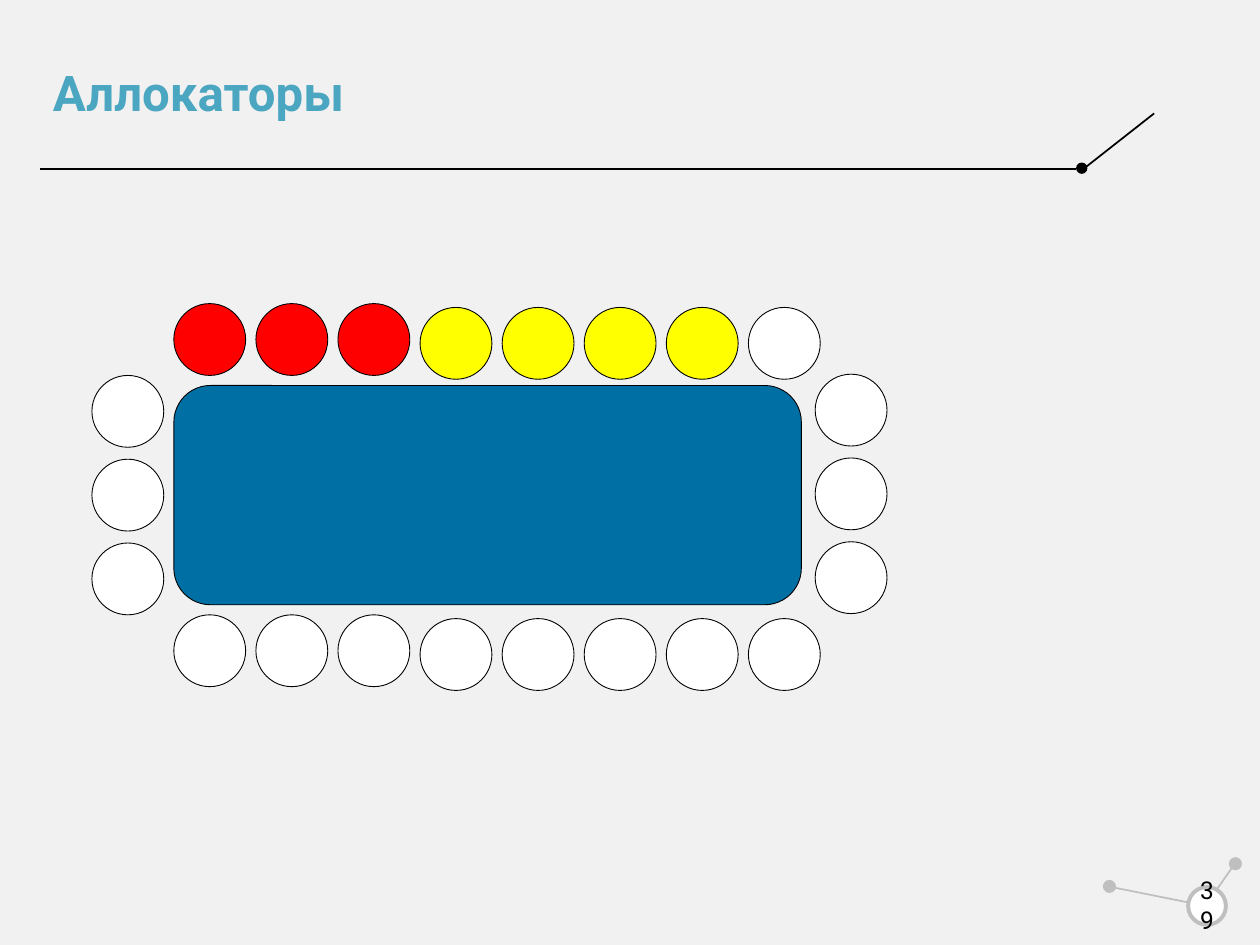
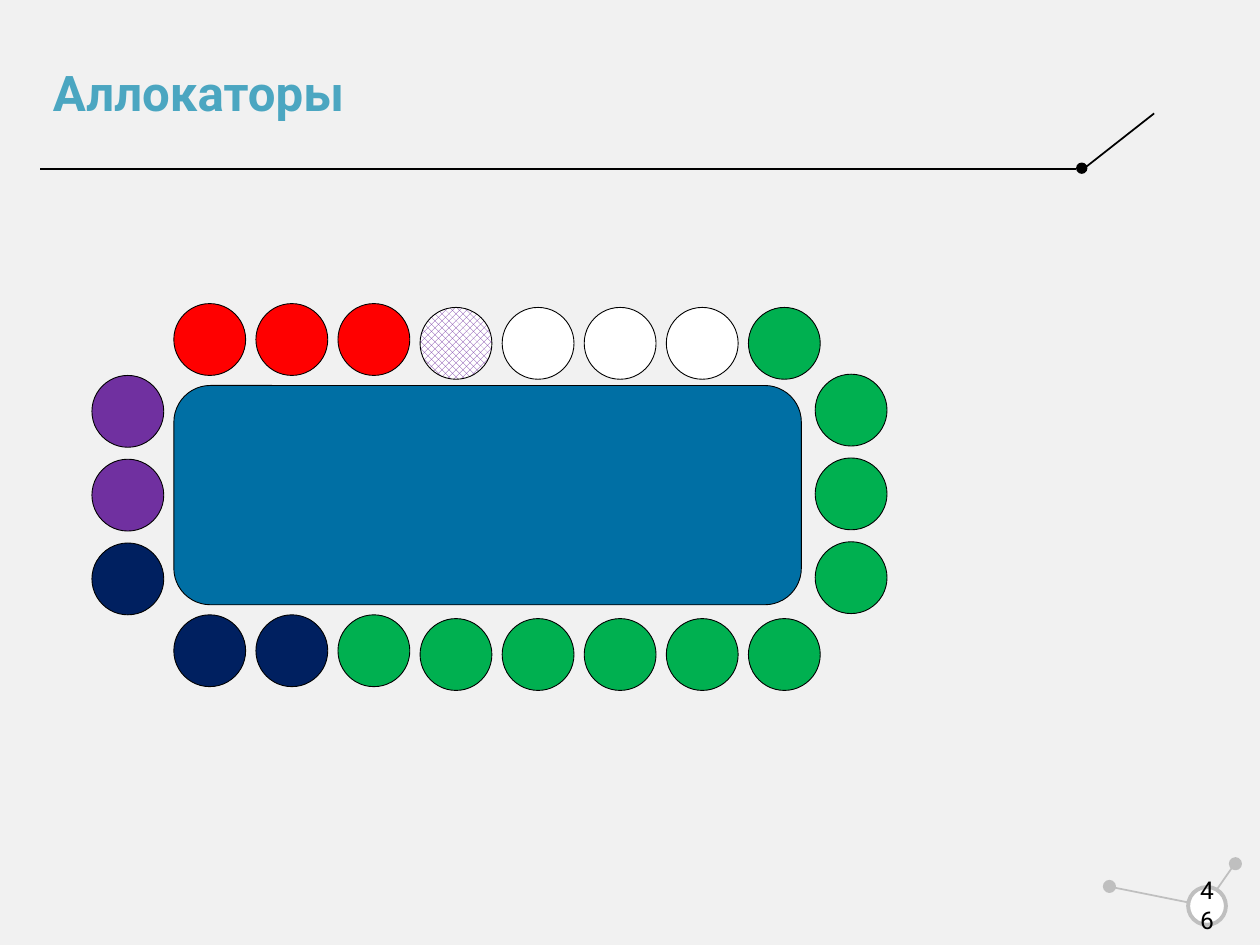
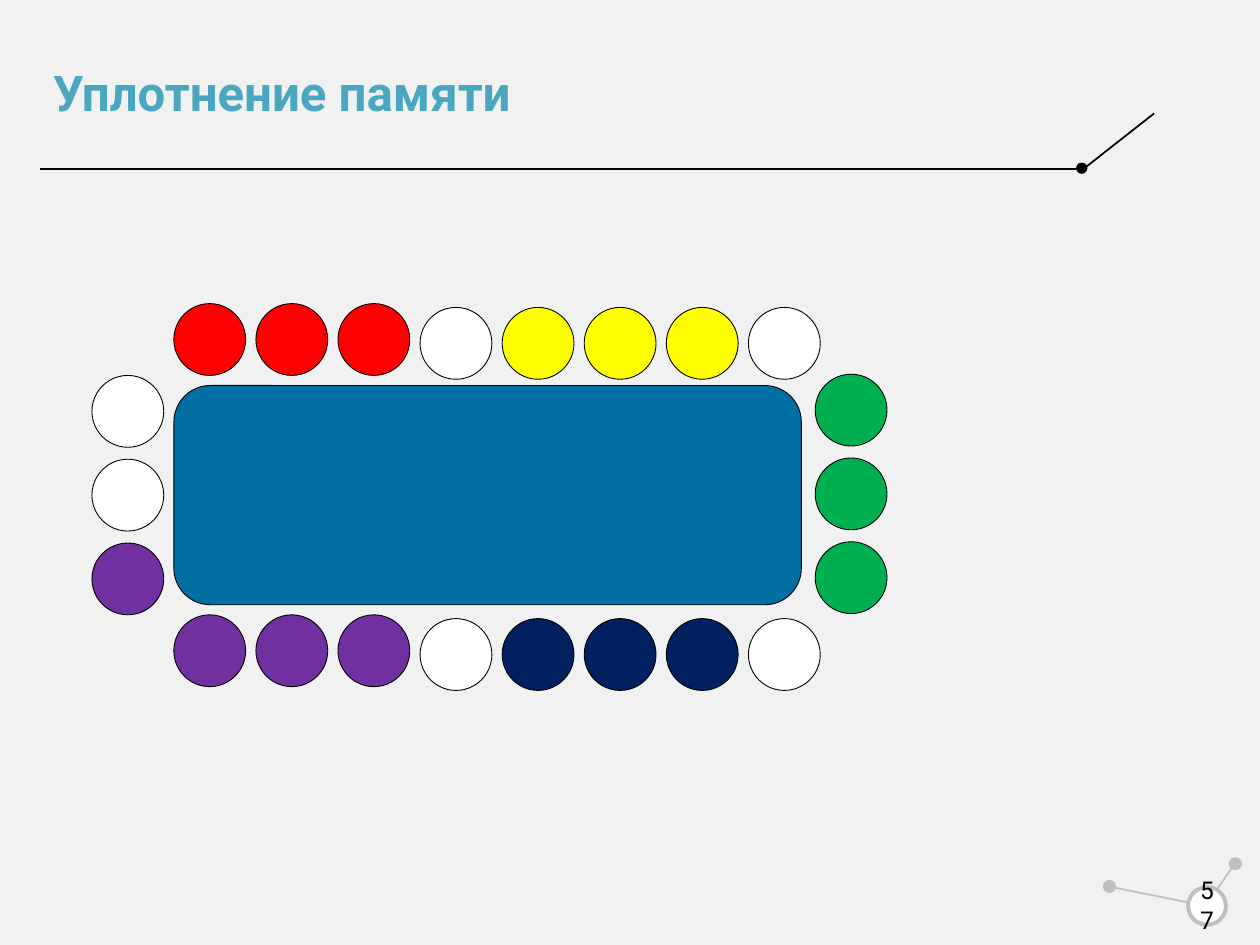
from lxml import etree
from pptx import Presentation
from pptx import util as u
from pptx.dml import color
from pptx.enum import dml, shapes, text
from pptx.oxml import ns

WIDTH, HEIGHT = 10, 7.5
FONT = "Roboto"
BLACK, WHITE, GREY = "000000", "FFFFFF", "BFBFBF"
BACKGROUND, TITLE, TABLE = "F1F1F1", "4BA6C1", "006FA4"

# Seat codes: one letter per memory owner, W for a free seat, P for a pattern
PATTERN = "P"
SEAT_COLORS = {"W": WHITE, "R": "FF0000", "Y": "FFFF00", "G": "00B050",
               "V": "7030A0", "N": "002060"}

# Seating plan around the table
SEAT = 0.57
COLUMNS, FIRST_COLUMN, LAST_COLUMN = 8, 1.38, 5.94
COLUMN_PITCH = (LAST_COLUMN - FIRST_COLUMN) / (COLUMNS - 1)
RAISED_SEATS, DROP = 3, 0.03  # the first three seats of a row sit higher
ROW_TOPS = {"top": 2.41, "bottom": 4.88}
SIDE_STARTS = {"left": (0.73, 2.98), "right": (6.47, 2.97)}
SIDE_SEATS, SIDE_SPAN = 3, 1.33
SIDE_PITCH = SIDE_SPAN / (SIDE_SEATS - 1)

SLIDES = [
    {"title": "Аллокаторы", "number": "39",
     "seats": {"top": "RRRYYYYW", "bottom": "WWWWWWWW",
               "left": "WWW", "right": "WWW"}},
    {"title": "Аллокаторы", "number": "46",
     "seats": {"top": "RRRPWWWG", "bottom": "NNGGGGGG",
               "left": "VVN", "right": "GGG"}},
    {"title": "Уплотнение памяти", "number": "57",
     "seats": {"top": "RRRWYYYW", "bottom": "VVVWNNNW",
               "left": "WWV", "right": "GGG"}},
]


def rgb(value):
    return color.RGBColor.from_string(value)


def inches(values):
    return [u.Inches(value) for value in values]


def set_values(target, values):
    for name, value in values.items():
        setattr(target, name, value)


def set_line(line, value, width):
    line.color.rgb = rgb(value)
    line.width = u.Pt(width)


def add_shape(slide, kind, box, fill, line=None, width=0.5):
    shape = slide.shapes.add_shape(kind, *inches(box))
    shape.shadow.inherit = False
    shape.fill.solid()
    shape.fill.fore_color.rgb = rgb(fill)
    if line:
        set_line(shape.line, line, width)
    else:
        shape.line.fill.background()
    return shape


def add_circle(slide, left, top, size, fill, line=None, width=0.5):
    return add_shape(slide, shapes.MSO_SHAPE.OVAL, (left, top, size, size),
                     fill, line, width)


def add_line(slide, start, end, value):
    line = slide.shapes.add_connector(
        shapes.MSO_CONNECTOR.STRAIGHT, *inches(start + end))
    set_line(line.line, value, 1)
    etree.SubElement(line.element.spPr, ns.qn("a:effectLst"))
    return line


def write(shape, content, frame_format, paragraph_format, font_format, value):
    frame = shape.text_frame
    frame.text = content
    set_values(frame, {"word_wrap": True, "auto_size": text.MSO_AUTO_SIZE.NONE,
                       "vertical_anchor": text.MSO_ANCHOR.MIDDLE,
                       **frame_format})
    paragraph = frame.paragraphs[0]
    set_values(paragraph, paragraph_format)
    font = paragraph.runs[0].font
    set_values(font, {"name": FONT, **font_format})
    font.color.rgb = rgb(value)


def add_title(slide, content):
    title = slide.shapes.title
    set_values(title, dict(zip(("left", "top", "width", "height"),
                               inches((0.32, 0.28, 8.22, 0.95)))))
    write(title, content, {},
          {"alignment": text.PP_ALIGN.LEFT, "line_spacing": 0.9},
          {"size": u.Pt(28.1), "bold": True}, TITLE)


def add_number(slide, number):
    """Add the slide number, its margins so wide that the digits stack."""
    box = slide.shapes.add_textbox(*inches((9.37, 6.98, 0.42, 0.4)))
    margin = u.Inches(0.12)
    write(box, number, {"margin_left": margin, "margin_right": margin},
          {"alignment": text.PP_ALIGN.CENTER}, {"size": u.Pt(14)}, BLACK)


def build_layout(layout, slide):
    """Draw the shared backdrop, rule and ring, and hand them to the layout."""
    for placeholder in list(layout.placeholders):
        if placeholder.placeholder_format.type != shapes.PP_PLACEHOLDER.TITLE:
            placeholder.element.getparent().remove(placeholder.element)
    decorations = [
        add_shape(slide, shapes.MSO_SHAPE.RECTANGLE, (0, 0, WIDTH, HEIGHT),
                  BACKGROUND),
        # Rule under the title
        add_line(slide, (0.32, 1.34), (8.54, 1.34), BLACK),
        add_circle(slide, 8.54, 1.29, 0.09, BLACK),
        add_line(slide, (8.6, 1.34), (9.16, 0.9), BLACK),
        # Ring for the slide number, with two branches
        add_circle(slide, 9.76, 6.81, 0.09, GREY, GREY, 1),
        add_line(slide, (9.79, 6.87), (9.65, 7.07), GREY),
        add_circle(slide, 8.76, 6.99, 0.09, GREY, GREY, 1),
        add_line(slide, (8.82, 7.04), (9.52, 7.18), GREY),
        add_circle(slide, 9.43, 7.04, 0.3, WHITE, GREY, 2.25),
    ]
    for decoration in decorations:
        layout.shapes.element.append(decoration.element)


def add_seat(slide, left, top, code):
    seat = add_circle(slide, left, top, SEAT,
                      SEAT_COLORS.get(code, WHITE), BLACK)
    if code == PATTERN:
        seat.fill.patterned()
        seat.fill.pattern = dml.MSO_PATTERN.SOLID_DIAMOND
        seat.fill.fore_color.rgb = rgb(SEAT_COLORS["V"])
        seat.fill.back_color.rgb = rgb(WHITE)


def add_table_with_seats(slide, seats):
    add_shape(slide, shapes.MSO_SHAPE.ROUNDED_RECTANGLE,
              (FIRST_COLUMN, 3.06, 4.98, 1.74), TABLE, BLACK)
    for row, top in ROW_TOPS.items():
        for column, code in enumerate(seats[row]):
            drop = DROP if column >= RAISED_SEATS else 0
            add_seat(slide, FIRST_COLUMN + column * COLUMN_PITCH,
                     top + drop, code)
    for side, (left, top) in SIDE_STARTS.items():
        for index, code in enumerate(seats[side]):
            add_seat(slide, left, top + index * SIDE_PITCH, code)


def main():
    presentation = Presentation()
    presentation.slide_width, presentation.slide_height = inches((WIDTH, HEIGHT))
    background = presentation.slide_master.background.fill
    background.solid()
    background.fore_color.rgb = rgb(WHITE)
    layout = presentation.slide_layouts.get_by_name("Title Only")
    for index, content in enumerate(SLIDES):
        slide = presentation.slides.add_slide(layout)
        if index == 0:
            build_layout(layout, slide)
        add_title(slide, content["title"])
        add_number(slide, content["number"])
        add_table_with_seats(slide, content["seats"])
    presentation.save("out.pptx")


main()
